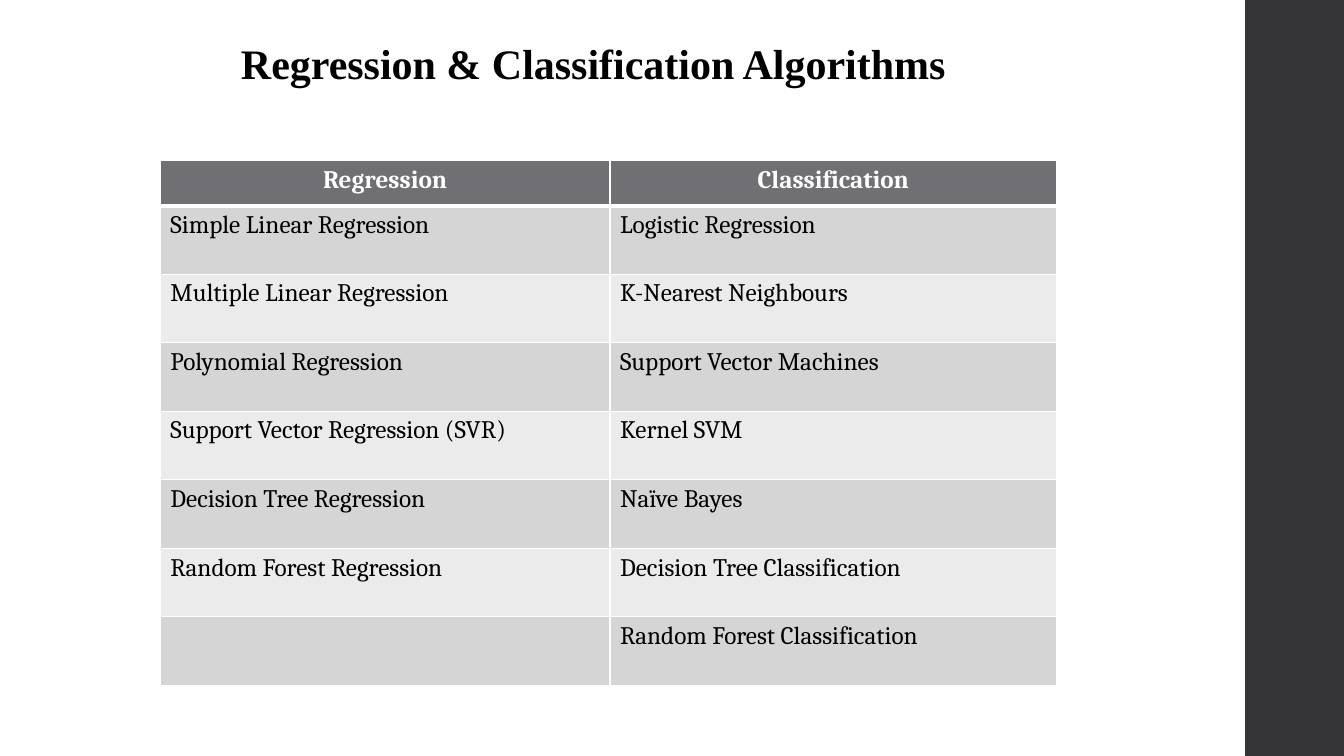
"""Build a slide that lists regression and classification algorithms in a table."""
from pptx import Presentation
from pptx.dml.color import RGBColor
from pptx.enum import shapes, text
from pptx.oxml import parse_xml
from pptx.oxml.ns import nsdecls
from pptx.util import Inches, Pt

TITLE = "Regression & Classification Algorithms"
ROWS = [
    ("Regression", "Classification"),
    ("Simple Linear Regression", "Logistic Regression"),
    ("Multiple Linear Regression", "K-Nearest Neighbours"),
    ("Polynomial Regression", "Support Vector Machines"),
    ("Support Vector Regression (SVR)", "Kernel SVM"),
    ("Decision Tree Regression", "Naïve Bayes"),
    ("Random Forest Regression", "Decision Tree Classification"),
    ("", "Random Forest Classification"),
]
COLORS = {"sidebar": "353537", "header": "6F6F74", "odd": "D5D5D6",
          "even": "EBEBEB", "white": "FFFFFF", "black": "000000"}
COL_WIDTHS = (4.46, 4.43)
HEADER_H, BODY_H = 0.45, 0.68


def rgb(name):
    return RGBColor.from_string(COLORS[name])


def set_font(p, name, size, color, bold):
    f = p.font
    f.name, f.size, f.bold = name, Pt(size), bold
    f.color.rgb = rgb(color)


def set_borders(cell, bottom):
    tc_pr = cell._tc.get_or_add_tcPr()
    for i, (side, width) in enumerate(zip("LRTB", (1, 1, 1, bottom))):
        tc_pr.insert(i, parse_xml(
            f'<a:ln{side} {nsdecls("a")} w="{Pt(width)}"><a:solidFill>'
            f'<a:srgbClr val="{COLORS["white"]}"/></a:solidFill></a:ln{side}>'))


def add_sidebar(s):
    sp = s.shapes.add_shape(shapes.MSO_SHAPE.RECTANGLE, Inches(12.35), 0,
                            Inches(0.98), Inches(7.5))
    sp.shadow.inherit = False
    sp.fill.solid()
    sp.fill.fore_color.rgb = rgb("sidebar")
    sp.line.fill.background()


def add_title(s):
    sp = s.shapes.title
    sp.left, sp.top, sp.width, sp.height = map(Inches, (2.29, 0.32, 7.27, 0.61))
    tf = sp.text_frame
    tf.text = TITLE
    tf.word_wrap = False
    tf.auto_size = text.MSO_AUTO_SIZE.NONE
    tf.vertical_anchor = text.MSO_ANCHOR.TOP
    p = tf.paragraphs[0]
    p.alignment = text.PP_ALIGN.LEFT
    set_font(p, "Times New Roman", 30, "black", True)


def add_algorithms(s):
    height = HEADER_H + BODY_H * (len(ROWS) - 1)
    table = s.shapes.add_table(len(ROWS), len(COL_WIDTHS), Inches(1.59), Inches(1.59),
                               Inches(sum(COL_WIDTHS)), Inches(height)).table
    table.horz_banding = False
    for col, width in zip(table.columns, COL_WIDTHS):
        col.width = Inches(width)
    for r, row in enumerate(ROWS):
        header = r == 0
        table.rows[r].height = Inches(HEADER_H if header else BODY_H)
        for c, label in enumerate(row):
            cell = table.cell(r, c)
            cell.text = label
            cell.fill.solid()
            cell.fill.fore_color.rgb = rgb("header" if header else "odd" if r % 2 else "even")
            set_borders(cell, 3 if header else 1)
            p = cell.text_frame.paragraphs[0]
            p.alignment = text.PP_ALIGN.CENTER if header else text.PP_ALIGN.LEFT
            set_font(p, "Cambria", 18, "white" if header else "black", header)


def main():
    prs = Presentation()
    prs.slide_width, prs.slide_height = Inches(13.33), Inches(7.5)
    s = prs.slides.add_slide(prs.slide_layouts[5])
    add_sidebar(s)
    add_title(s)
    add_algorithms(s)
    prs.save("out.pptx")


if __name__ == "__main__":
    main()
